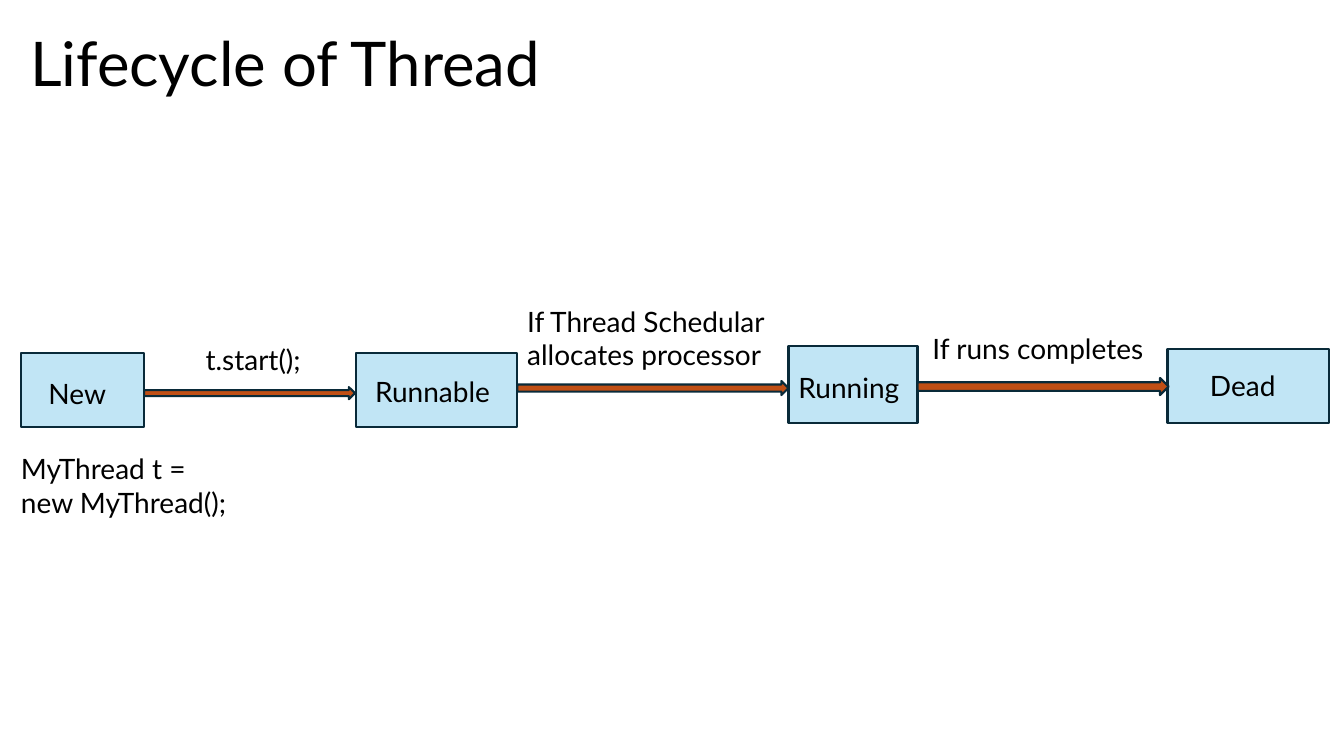
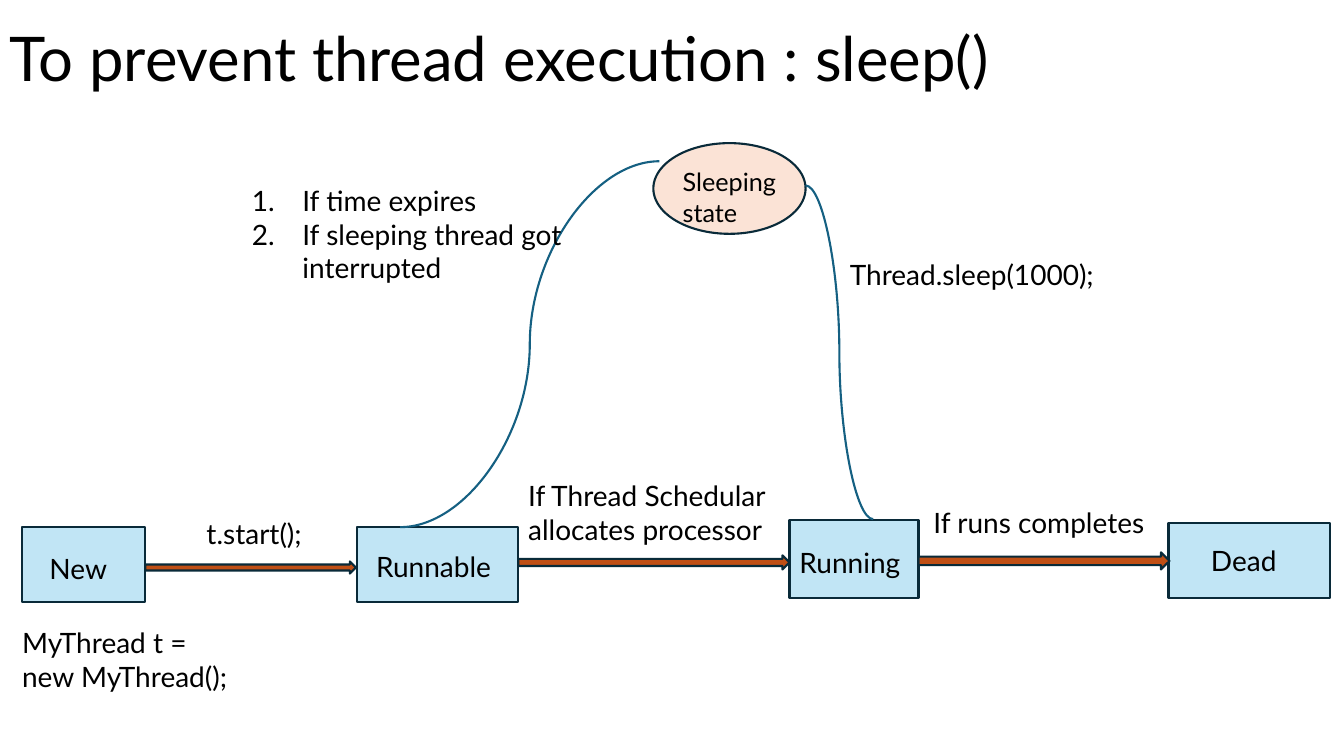
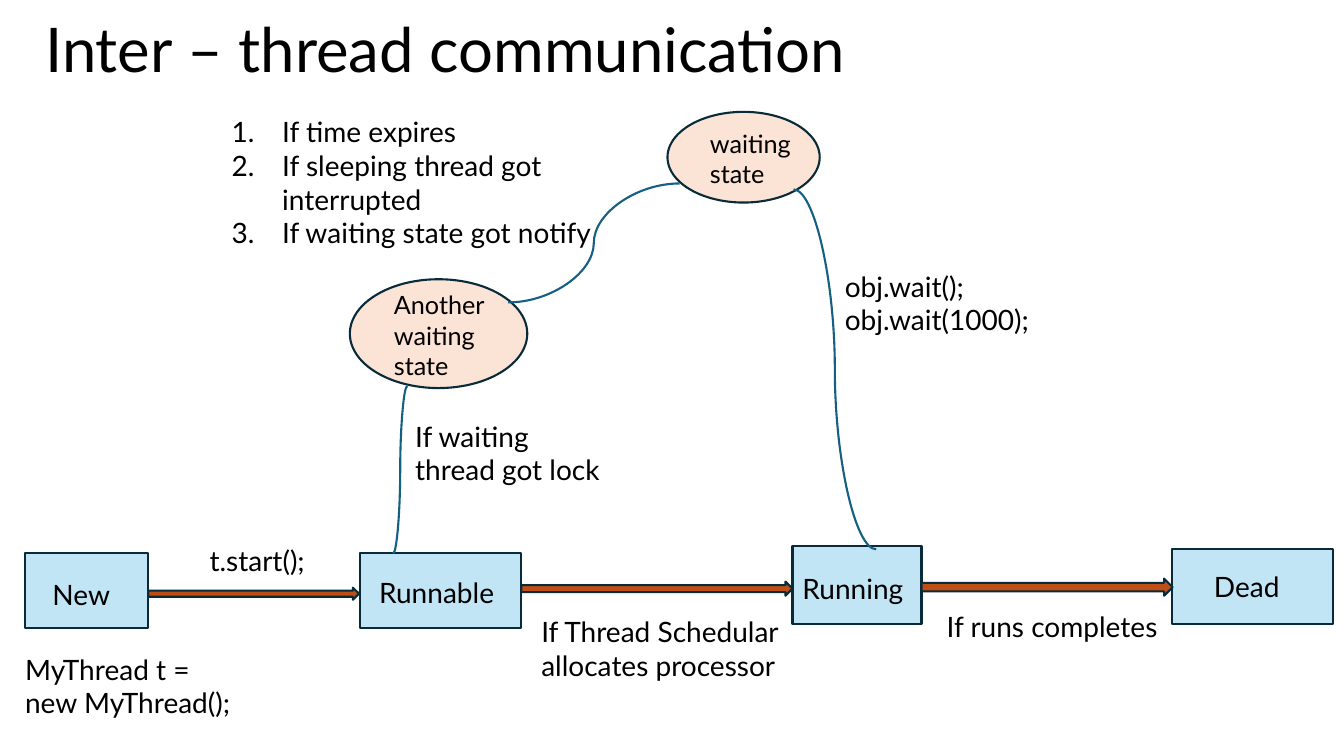
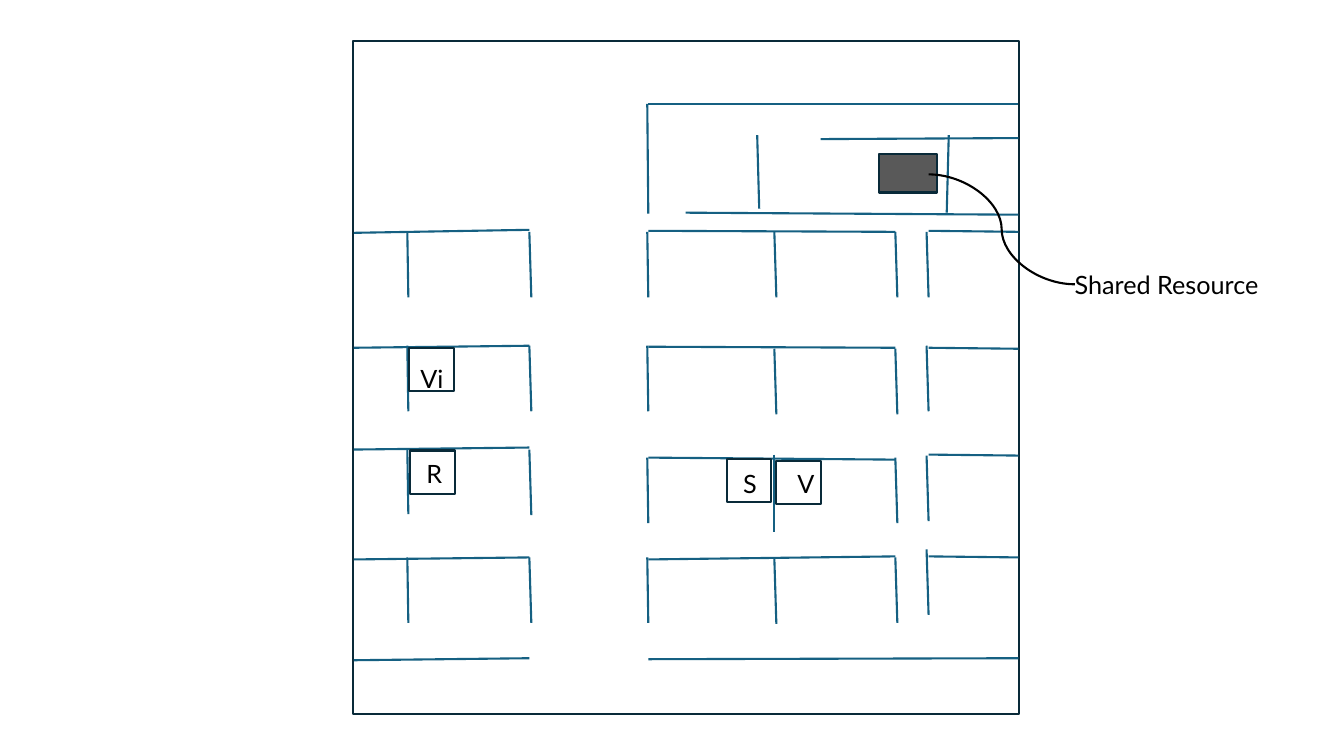
from pptx import Presentation
from pptx.dml.color import RGBColor
from pptx.enum.shapes import MSO_CONNECTOR as CONNECTOR, MSO_SHAPE as SHAPE
from pptx.enum.text import MSO_ANCHOR as ANCHOR, PP_ALIGN as ALIGN
from pptx.oxml.ns import qn
from pptx.util import Inches, Pt
from lxml import etree

# Shared style
FONT = "Lato"
BLACK, WHITE = "000000", "FFFFFF"
STATE_FILL, WAIT_FILL, ARROW_FILL = "C1E5F5", "FBE3D6", "C04F15"
RESOURCE_FILL, OUTLINE, LINE = "595959", "092A39", "156082"
LINE_WIDTH = Pt(1.5)
TITLE_SIZE, TEXT_SIZE, SMALL_SIZE = 44, 20, 18

# Thread chain, measured from the top left corner of the "New" box:
# left, top, width, height, label, left inset, top inset
STATES = [
    (0, 0, 1.22, 0.74, "New", 0.27, 0.24),
    (3.32, 0, 1.6, 0.74, "Runnable", 0.19, 0.22),
    (7.61, -0.07, 1.28, 0.77, "Running", 0.1, 0.25),
    (11.37, -0.04, 1.6, 0.74, "Dead", 0.42, 0.2),
]
ARROWS = [(1.22, 0.34, 2.09, 0.12), (4.92, 0.28, 2.69, 0.14), (8.89, 0.25, 2.49, 0.17)]
SCHEDULED_ABOVE, COMPLETED_ABOVE = (4.92, -0.53), (8.94, -0.26)
SCHEDULED_BELOW, COMPLETED_BELOW = (5.02, 0.56), (9.04, 0.51)

# Floor plan: wall span -> (y at left, y at right) of each wall
WALLS = {
    (3.51, 5.25): [(2.31, 2.28), (3.45, 3.43), (4.46, 4.44), (5.55, 5.53), (6.55, 6.53)],
    (6.43, 8.88): [(2.29, 2.3), (3.44, 3.45), (4.54, 4.56), (5.55, 5.52)],
    (9.21, 10.1): [(2.29, 2.3), (3.45, 3.46), (4.51, 4.52), (5.52, 5.53)],
    (6.43, 10.1): [(1.03, 1.03), (6.54, 6.53)],
    (6.8, 10.1): [(2.11, 2.13)],
    (8.14, 10.1): [(1.38, 1.37)],
}
# Partition (x at top, x at bottom) -> top of each partition
PARTITION_HEIGHT = 0.65
PARTITIONS = {
    (4.04, 4.05): [2.3, 3.43, 4.45, 5.53],
    (5.25, 5.27): [2.3, 3.43, 4.46, 5.53],
    (6.42, 6.43): [2.3, 3.43, 4.54, 5.53],
    (7.68, 7.7): [2.3, 3.46, 5.54],
    (8.88, 8.9): [2.3, 3.46, 4.54, 5.53],
    (9.19, 9.21): [2.3, 3.43, 4.52, 5.45],
}
ODD_PARTITIONS = [
    (6.42, 1.03, 6.43, 2.12),
    (7.68, 4.51, 7.68, 5.28),
    (7.51, 1.34, 7.53, 2.07),
    (9.41, 1.34, 9.39, 2.11),
]
# Seats: left, top, label, left inset, top inset
SEATS = [
    (7.21, 4.55, "S", 0.16, 0.1),
    (7.7, 4.57, "V", 0.21, 0.08),
    (4.07, 4.47, "R", 0.16, 0.08),
    (4.06, 3.45, "Vi", 0.11, 0.15),
]


def color(value):
    return RGBColor.from_string(value)


def write(frame, lines, size, numbered=False, spacing=None):
    """Fill a text frame with one paragraph per line."""
    frame.word_wrap = True
    for index, line in enumerate(lines):
        paragraph = frame.paragraphs[0] if index == 0 else frame.add_paragraph()
        paragraph.alignment = ALIGN.LEFT
        paragraph.line_spacing = spacing
        run = paragraph.add_run()
        run.text = line
        run.font.name = FONT
        run.font.size = Pt(size)
        run.font.color.rgb = color(BLACK)
        if numbered:
            properties = paragraph._p.get_or_add_pPr()
            properties.set("marL", str(Inches(0.5)))
            properties.set("indent", str(Inches(-0.5)))
            etree.SubElement(properties, qn("a:buAutoNum"), type="arabicPeriod")


def add_text(slide, left, top, width, height, *lines, size=TEXT_SIZE, **style):
    box = slide.shapes.add_textbox(*map(Inches, (left, top, width, height)))
    write(box.text_frame, lines, size, **style)
    return box


def add_title(slide, left, top, width, height, title):
    box = add_text(slide, left, top, width, height, title, size=TITLE_SIZE, spacing=0.9)
    box.text_frame.vertical_anchor = ANCHOR.MIDDLE


def add_figure(slide, kind, box, fill, label=None, size=TEXT_SIZE,
               insets=(0, 0), anchor=ANCHOR.TOP):
    """Outlined shape, with an optional label set off by left and top insets."""
    shape = slide.shapes.add_shape(kind, *map(Inches, box))
    shape.shadow.inherit = False
    shape.fill.solid()
    shape.fill.fore_color.rgb = color(fill)
    shape.line.color.rgb = color(OUTLINE)
    shape.line.width = LINE_WIDTH
    if label:
        frame = shape.text_frame
        frame.margin_left, frame.margin_top = map(Inches, insets)
        frame.margin_right = frame.margin_bottom = 0
        frame.vertical_anchor = anchor
        write(frame, [label], size)


def add_waiting_state(slide, box, label, insets):
    add_figure(slide, SHAPE.OVAL, box, WAIT_FILL, label, SMALL_SIZE, insets, ANCHOR.MIDDLE)


def add_line(slide, x1, y1, x2, y2, kind=CONNECTOR.STRAIGHT, stroke=LINE):
    line = slide.shapes.add_connector(kind, *map(Inches, (x1, y1, x2, y2)))
    line.line.color.rgb = color(stroke)
    line.line.width = LINE_WIDTH
    etree.SubElement(line._element.spPr, qn("a:effectLst"))


def add_curve(slide, x1, y1, x2, y2, stroke=LINE):
    add_line(slide, x1, y1, x2, y2, CONNECTOR.CURVE, stroke)


def add_thread_chain(slide, left, top, scheduled=SCHEDULED_ABOVE, completed=COMPLETED_ABOVE):
    """The four states from New to Dead with their transitions."""
    for x, y, width, height, label, *insets in STATES:
        add_figure(slide, SHAPE.RECTANGLE, (left + x, top + y, width, height),
                   STATE_FILL, label, insets=insets)
    for x, y, width, height in ARROWS:
        add_figure(slide, SHAPE.RIGHT_ARROW, (left + x, top + y, width, height), ARROW_FILL)
    captions = [
        ((-0.1, 0.93), 2.29, 0.77, "MyThread t = new MyThread();"),
        ((1.73, -0.15), 1.23, 0.44, "t.start();"),
        (scheduled, 2.69, 0.77, "If Thread Schedular allocates processor"),
        (completed, 2.38, 0.44, "If runs completes"),
    ]
    for (x, y), width, height, caption in captions:
        add_text(slide, left + x, top + y, width, height, caption)


def build_lifecycle(slide):
    add_title(slide, 0.2, 0.11, 5.27, 1.11, "Lifecycle of Thread")
    add_thread_chain(slide, 0.21, 3.5)


def build_sleep(slide):
    add_title(slide, 0, -0.11, 11.5, 1.45, "To prevent thread execution : sleep()")
    add_thread_chain(slide, 0.22, 5.23)
    add_waiting_state(slide, (6.48, 1.42, 1.51, 0.9), "Sleeping state", (0.07, 0.17))
    add_curve(slide, 7.99, 1.84, 8.66, 5.15)
    add_curve(slide, 6.54, 1.6, 3.97, 5.23)
    add_text(slide, 8.33, 2.51, 2.75, 0.44, "Thread.sleep(1000);")
    add_text(slide, 2.4, 1.77, 4.25, 1.11, "If time expires",
             "If sleeping thread got interrupted", numbered=True)


def build_communication(slide):
    add_title(slide, 0.35, 0.14, 10.59, 0.76, "Inter – thread communication")
    add_thread_chain(slide, 0.25, 5.49, SCHEDULED_BELOW, COMPLETED_BELOW)
    add_waiting_state(slide, (6.62, 1.11, 1.51, 0.9), "waiting state", (0.2, 0.03))
    add_waiting_state(slide, (3.47, 2.77, 1.76, 1.08), "Another waiting state", (0.18, 0.03))
    add_curve(slide, 7.87, 1.88, 8.69, 5.45)
    add_curve(slide, 4.04, 3.83, 3.9, 5.49)
    add_curve(slide, 6.74, 1.82, 5.04, 3)
    add_text(slide, 8.28, 2.62, 2.75, 0.77, "obj.wait();", "obj.wait(1000);")
    add_text(slide, 2.2, 1.09, 4.52, 1.45, "If time expires",
             "If sleeping thread got interrupted", "If waiting state got notify",
             numbered=True)
    add_text(slide, 4.02, 4.11, 2.13, 0.77, "If waiting thread got lock")


def build_floor_plan(slide):
    add_figure(slide, SHAPE.RECTANGLE, (3.5, 0.41, 6.61, 6.67), WHITE)
    for (left, right), heights in WALLS.items():
        for y_left, y_right in heights:
            add_line(slide, left, y_left, right, y_right)
    for (x_top, x_bottom), tops in PARTITIONS.items():
        for top in tops:
            add_line(slide, x_top, top, x_bottom, top + PARTITION_HEIGHT)
    for ends in ODD_PARTITIONS:
        add_line(slide, *ends)
    for left, top, label, *insets in SEATS:
        add_figure(slide, SHAPE.RECTANGLE, (left, top, 0.44, 0.43), WHITE,
                   label, SMALL_SIZE, insets)
    # Shared resource and its callout
    add_figure(slide, SHAPE.RECTANGLE, (8.72, 1.53, 0.57, 0.38), RESOURCE_FILL)
    add_curve(slide, 9.21, 1.73, 10.66, 2.82, BLACK)
    add_text(slide, 10.56, 2.62, 2.7, 0.4, "Shared Resource", size=SMALL_SIZE)


def main():
    presentation = Presentation()
    presentation.slide_width = Inches(13.33)
    presentation.slide_height = Inches(7.5)
    blank = presentation.slide_layouts[6]
    for build in (build_lifecycle, build_sleep, build_communication, build_floor_plan):
        build(presentation.slides.add_slide(blank))
    presentation.save("out.pptx")


if __name__ == "__main__":
    main()
